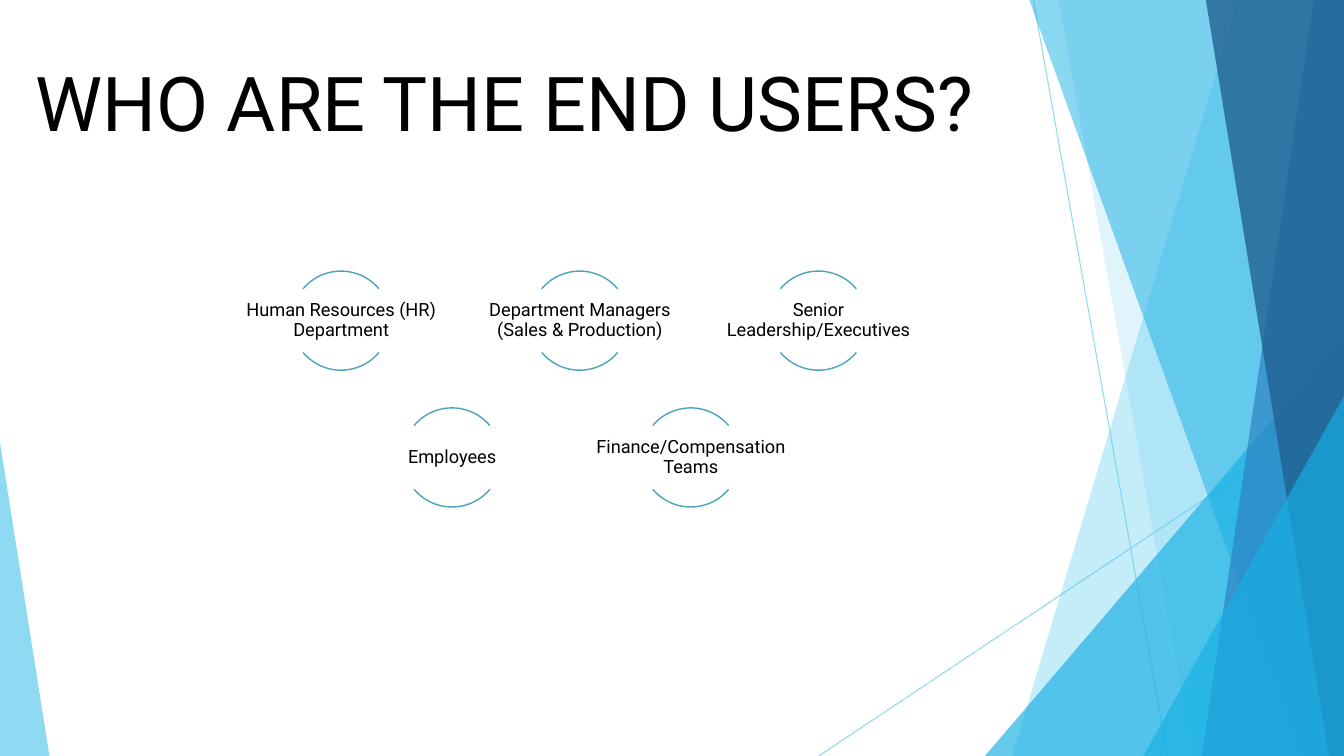
from dataclasses import dataclass

from lxml import etree
from pptx import Presentation
from pptx.dml.color import RGBColor
from pptx.enum.shapes import MSO_CONNECTOR, MSO_SHAPE
from pptx.enum.text import MSO_ANCHOR, PP_ALIGN
from pptx.oxml.ns import qn
from pptx.util import Inches, Pt

ARC, TRIANGLE = MSO_SHAPE.ARC, MSO_SHAPE.ISOSCELES_TRIANGLE
STRAIGHT = MSO_CONNECTOR.STRAIGHT
LEFT, CENTER = PP_ALIGN.LEFT, PP_ALIGN.CENTER
TOP, MIDDLE = MSO_ANCHOR.TOP, MSO_ANCHOR.MIDDLE


@dataclass(frozen=True)
class Theme:
    """Colours, font and type sizes of the slide."""
    font: str = "Roboto"
    text: str = "000000"
    sky: str = "5FCBEF"
    cyan: str = "17B0E4"
    blue: str = "2E83C3"
    navy: str = "226292"
    arc: str = "4CA3BF"
    title_size: float = 54
    label_size: float = 13
    hairline: float = 0.75
    arc_line: float = 1


THEME = Theme()
ARC_ANGLES = ((132, 192), (24, 84))
USER_ROWS = (
    ("Human Resources (HR) Department",
     "Department Managers (Sales & Production)",
     "Senior Leadership/Executives"),
    ("Employees", "Finance/Compensation Teams"),
)
RAYS = (((76.89, 0), (86.87, 100)), ((100, 53.73), (60.92, 100)))
FACETS = (
    ("panel", 92.12, 75.32, THEME.sky, 36),
    ("panel", 78.77, 88.75, THEME.sky, 20),
    ("wedge", (73.29, 44.4, 100), 1, THEME.cyan, 66),
    ("panel", 76.59, 96.85, THEME.cyan, 50),
    ("panel", 97.75, 89.42, THEME.blue, 70),
    ("panel", 89.72, 98.87, THEME.navy, 80),
    ("wedge", (85.07, 52.4, 100), 1, THEME.cyan, 66),
    ("wedge", (0, 58.53, 3.68), 0, THEME.sky, 70),
)


def set_alpha(fmt, percent):
    """Make a solid fill partly transparent."""
    color = fmt._xPr.find(qn("a:solidFill"))[0]
    etree.SubElement(color, qn("a:alpha")).set("val", str(percent * 1000))


def paint(s, color, alpha):
    """Give a shape a transparent fill without outline or shadow."""
    s.shadow.inherit = False
    s.fill.solid()
    s.fill.fore_color.rgb = RGBColor.from_string(color)
    set_alpha(s.fill, alpha)
    s.line.fill.background()


def add_text(slide, box, text, size, align=LEFT, anchor=TOP, inset=None):
    """Place one paragraph of text in a box."""
    tf = slide.shapes.add_textbox(*map(int, box)).text_frame
    tf.word_wrap = True
    tf.vertical_anchor = anchor
    if inset is not None:
        tf.margin_left = tf.margin_right = inset
        tf.margin_top = tf.margin_bottom = inset
    p = tf.paragraphs[0]
    p.text = text
    p.alignment = align
    p.font.name = THEME.font
    p.font.size = Pt(size)
    p.font.color.rgb = RGBColor.from_string(THEME.text)
    return p


def add_ray(slide, start, end):
    """Draw a faint straight line between two points."""
    s = slide.shapes.add_connector(STRAIGHT, *start, *end)
    s.line.width = Pt(THEME.hairline)
    s.line.color.rgb = RGBColor.from_string(THEME.sky)
    set_alpha(s.line.fill, 70)
    etree.SubElement(s._element.spPr, qn("a:effectLst"))


def add_backdrop(slide, box):
    """Layer the rays and facets, given in percent of the box."""
    left, top, width, height = box

    def at(x, y):
        """Turn percentages into a point of the box."""
        return int(left + width * x / 100), int(top + height * y / 100)

    for start, end in RAYS:
        add_ray(slide, at(*start), at(*end))
    for kind, first, second, color, alpha in FACETS:
        if kind == "panel":
            builder = slide.shapes.build_freeform(*at(first, 0))
            builder.add_line_segments([at(100, 0), at(100, 100), at(second, 100)])
            s = builder.convert_to_shape()
        else:
            x0, y0 = at(*first[:2])
            x1, y1 = at(first[2], 100)
            s = slide.shapes.add_shape(TRIANGLE, x0, y0, x1 - x0, y1 - y0)
            s.adjustments[0] = second
        paint(s, color, alpha)


def add_user(slide, box, name):
    """Put a name between the two arcs of a circle centred in the box."""
    left, top, width, size = box
    for angles in ARC_ANGLES:
        s = slide.shapes.add_shape(
            ARC, int(left + (width - size) / 2), int(top), int(size), int(size))
        s.adjustments[0], s.adjustments[1] = angles
        s.shadow.inherit = False
        s.fill.background()
        s.line.width = Pt(THEME.arc_line)
        s.line.color.rgb = RGBColor.from_string(THEME.arc)
    label = left, top + size * 0.18, width, size * 0.64
    p = add_text(slide, label, name, THEME.label_size, CENTER, MIDDLE, Inches(0.01))
    p.line_spacing = 0.9


def add_users(slide, box):
    """Lay the users out in two rows, the second one indented."""
    left, top, width, height = box
    circle = height * 0.42
    item = circle * 2
    step_x = (width - item) / (len(USER_ROWS[0]) - 1)
    step_y = height - circle
    for row, names in enumerate(USER_ROWS):
        for col, name in enumerate(names):
            x = left + row * item * 0.56 + col * step_x
            add_user(slide, (x, top + row * step_y, item, circle), name)


def main():
    """Build the slide and save it."""
    prs = Presentation()
    prs.slide_width, prs.slide_height = Inches(13.33), Inches(7.5)
    slide = prs.slides.add_slide(prs.slide_layouts[6])
    add_backdrop(slide, (0, 0, prs.slide_width, prs.slide_height))
    title_box = map(Inches, (0.25, 0.51, 9.7, 1.01))
    add_text(slide, title_box, "WHO ARE THE END USERS?", THEME.title_size)
    add_users(slide, tuple(map(Inches, (2.4, 2.69, 6.7, 2.34))))
    prs.save("out.pptx")


if __name__ == "__main__":
    main()
